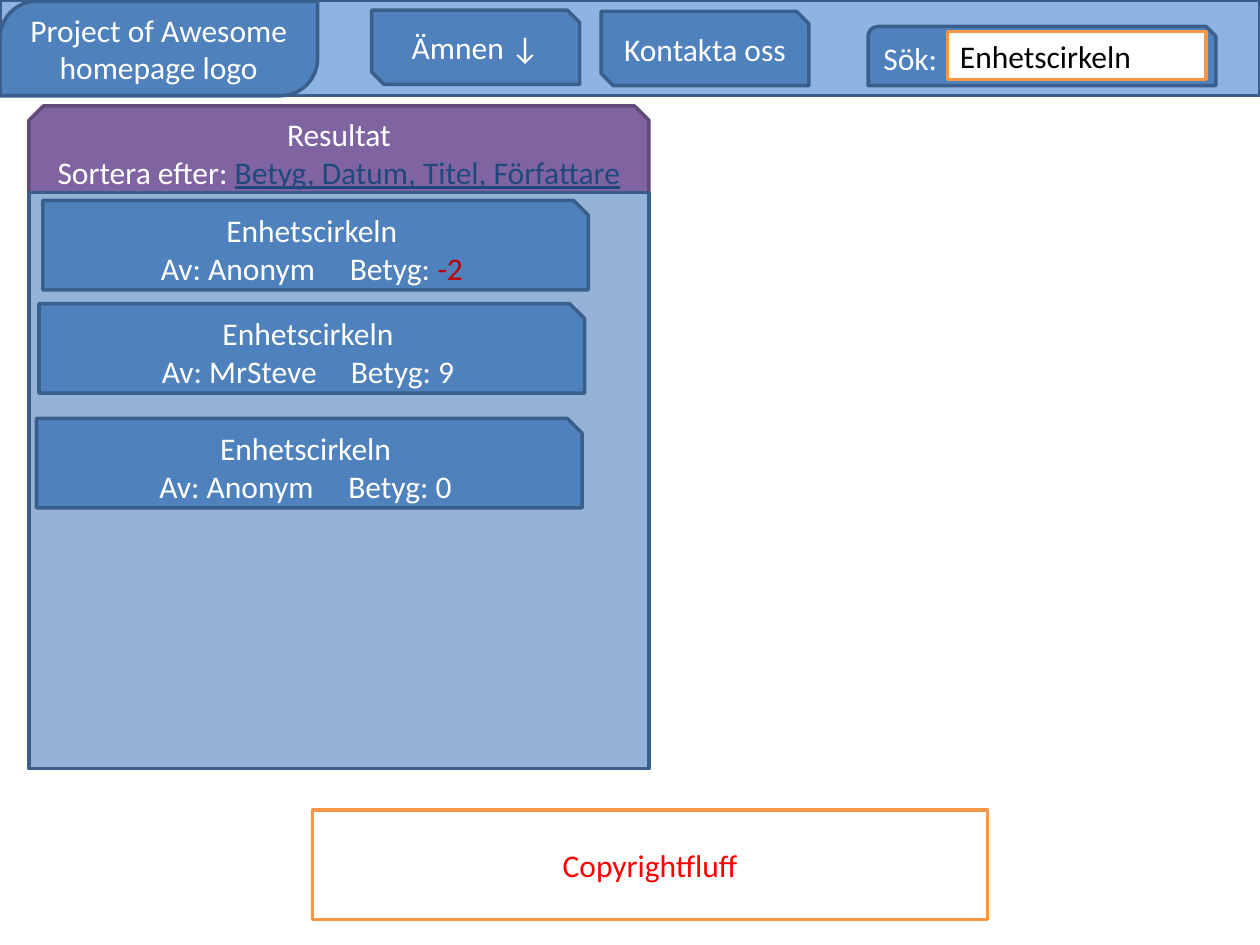
from dataclasses import dataclass

import pptx
import pptx.dml.color
import pptx.enum.shapes
import pptx.enum.text
import pptx.presentation
import pptx.slide
import pptx.util

Inches = pptx.util.Inches
Kind = pptx.enum.shapes.MSO_SHAPE
Align = pptx.enum.text.PP_ALIGN

BLUE, NAVY, ORANGE, WHITE = "4F81BD", "3A5F8C", "F79646", "FFFFFF"
FONT = {"name": "Calibri", "size": pptx.util.Pt(18)}
FRAME = {"word_wrap": True, "vertical_anchor": pptx.enum.text.MSO_ANCHOR.MIDDLE}


@dataclass(frozen=True)
class Words:
    text: str
    color: str = WHITE
    underline: bool | None = None


@dataclass(frozen=True)
class Box:
    kind: Kind
    left: float
    top: float
    width: float
    height: float
    fill: str = BLUE
    line: str = NAVY
    lines: tuple[tuple[Words, ...], ...] = ()
    align: Align = Align.CENTER
    adjustments: tuple[float, ...] = ()


def color(value: str) -> pptx.dml.color.RGBColor:
    return pptx.dml.color.RGBColor.from_string(value)


def menu_button(left: float, top: float, label: str) -> Box:
    return Box(Kind.SNIP_2_DIAG_RECTANGLE, left, top, 1.65, 0.59, lines=((Words(label),),))


def result_card(left: float, top: float, author: str, grade: Words) -> Box:
    byline = Words(f"Av: {author}\tBetyg: ")
    return Box(Kind.SNIP_1_RECTANGLE, left, top, 4.33, 0.71,
               lines=((Words("Enhetscirkeln"),), (byline, grade)))


def draw_box(slide: pptx.slide.Slide, box: Box) -> None:
    shape = slide.shapes.add_shape(
        box.kind, Inches(box.left), Inches(box.top), Inches(box.width), Inches(box.height))
    shape.shadow.inherit = False
    for index, value in enumerate(box.adjustments):
        shape.adjustments[index] = value
    shape.fill.solid()
    shape.fill.fore_color.rgb = color(box.fill)
    shape.line.color.rgb = color(box.line)
    shape.line.width = pptx.util.Pt(2)

    frame = shape.text_frame
    for name, value in FRAME.items():
        setattr(frame, name, value)
    for index, line in enumerate(box.lines):
        paragraph = frame.add_paragraph() if index else frame.paragraphs[0]
        paragraph.alignment = box.align
        for words in line:
            run = paragraph.add_run()
            run.text = words.text
            for name, value in (FONT | {"underline": words.underline}).items():
                setattr(run.font, name, value)
            run.font.color.rgb = color(words.color)


BOXES = (
    # Page header
    Box(Kind.RECTANGLE, 0, 0, 10, 0.76, fill="8EB4E3"),
    Box(Kind.ROUND_2_DIAG_RECTANGLE, 0, 0.01, 2.52, 0.75,
        lines=((Words("Project of Awesome homepage logo"),),), adjustments=(0.39, 0)),
    menu_button(2.95, 0.08, "Ämnen ↓"),
    Box(Kind.SNIP_ROUND_RECTANGLE, 6.89, 0.21, 2.76, 0.47,
        lines=((Words("Sök:"),),), align=Align.LEFT),
    Box(Kind.RECTANGLE, 7.52, 0.25, 2.05, 0.38, WHITE, ORANGE,
        ((Words("Enhetscirkeln", "000000"),),), Align.LEFT),
    # Search results
    Box(Kind.SNIP_2_SAME_RECTANGLE, 0.23, 0.84, 4.92, 0.69, "8064A2", "5F4A78",
        ((Words("Resultat"),),
         (Words("Sortera efter: "),
          Words("Betyg, Datum, Titel, Författare", "1F497D", True)))),
    Box(Kind.RECTANGLE, 0.23, 1.53, 4.92, 4.57, fill="95B3D7"),
    result_card(0.34, 1.59, "Anonym", Words("-2", "C00000")),
    result_card(0.31, 2.41, "MrSteve", Words("9")),
    result_card(0.29, 3.32, "Anonym", Words("0")),
    menu_button(4.77, 0.09, "Kontakta oss"),
    # Footer
    Box(Kind.RECTANGLE, 2.48, 6.43, 5.36, 0.87, WHITE, ORANGE,
        ((Words("Copyrightfluff", "FF0000"),),)),
)


def main() -> None:
    presentation = pptx.Presentation()
    presentation.slide_width = Inches(10)
    presentation.slide_height = Inches(7.5)
    slide = presentation.slides.add_slide(presentation.slide_layouts[6])
    for box in BOXES:
        draw_box(slide, box)
    presentation.save("out.pptx")


if __name__ == "__main__":
    main()
